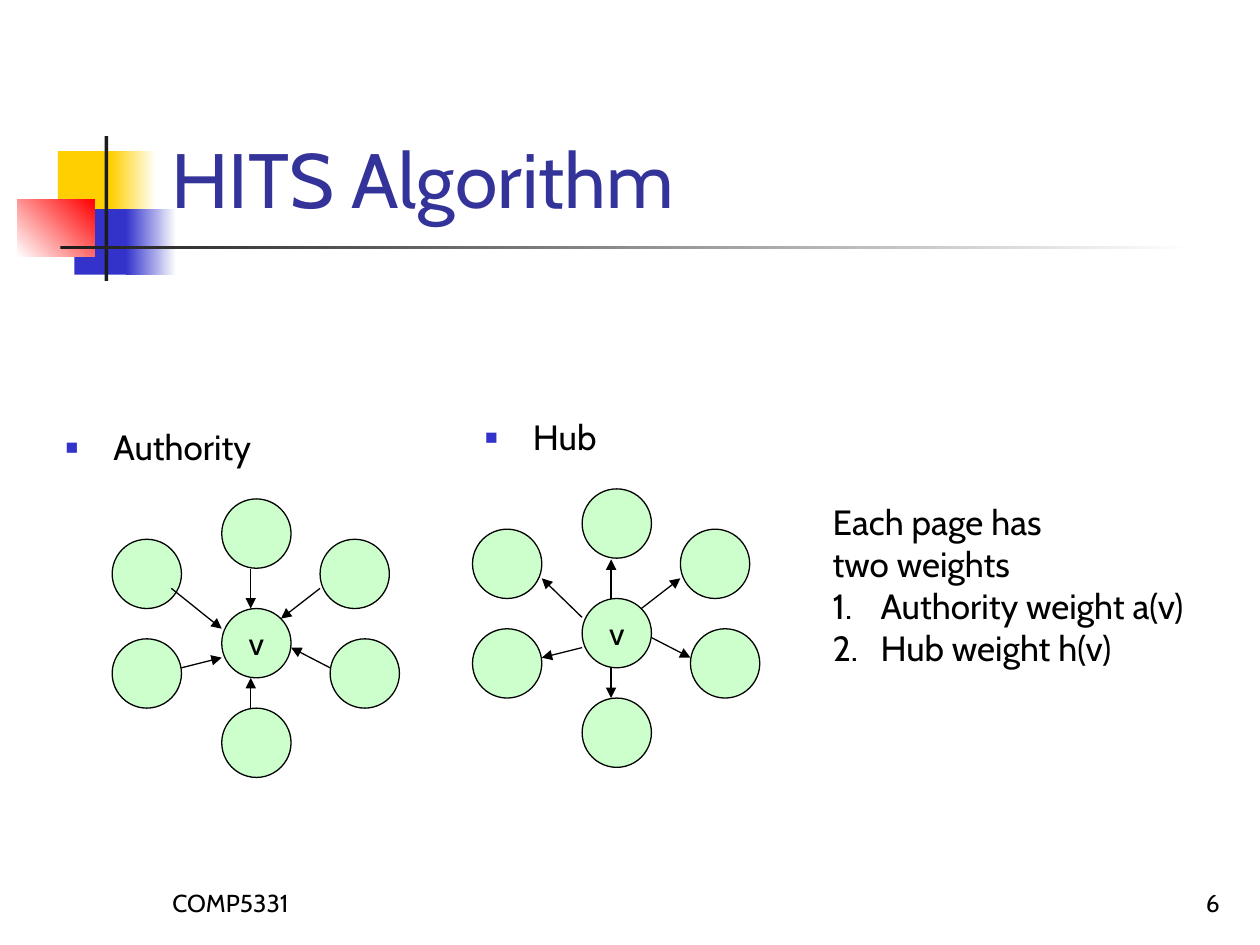
from lxml import etree
from pptx import Presentation
from pptx.dml.color import RGBColor
from pptx.enum.shapes import MSO_CONNECTOR, MSO_SHAPE
from pptx.enum.text import MSO_ANCHOR, MSO_AUTO_SIZE, PP_ALIGN
from pptx.oxml.ns import qn
from pptx.util import Inches, Pt

FONT = "Cabin"
COLORS = {
    "text": "000000", "title": "333399", "node": "CCFFCC", "white": "FFFFFF",
    "yellow": "FFCF01", "blue": "3333CC", "red": "FF0000", "bar": "1C1C1C",
}
INDENT = 0.38
NODE_SIZE = 0.55
# Node corners and spoke ends, in inches from the top left of the centre node.
NODES = [(-0.87, -0.55), (0, -0.87), (0.78, -0.55),
         (0.86, 0.24), (-0.87, 0.24), (0, 0.79)]
SPOKES = [((-0.32, 0.47), (0, 0.39)), ((0.23, 0.79), (0.23, 0.55)),
          ((0.86, 0.47), (0.55, 0.31)), ((0.78, -0.16), (0.47, 0.08)),
          ((0.23, -0.31), (0.23, 0))]


def color(name):
    return RGBColor.from_string(COLORS[name])


def place(shape, left, top, width, height):
    shape.left, shape.top = Inches(left), Inches(top)
    shape.width, shape.height = Inches(width), Inches(height)


def add_bullet(para, kind):
    """Give a paragraph a square or a number that hangs in its indent."""
    props = para._p.get_or_add_pPr()
    tint = etree.SubElement(props, qn("a:buClr"))
    etree.SubElement(tint, qn("a:srgbClr"),
                     val=COLORS["blue" if kind == "square" else "text"])
    if kind == "square":
        etree.SubElement(props, qn("a:buSzPct"), val="60000")
        etree.SubElement(props, qn("a:buFont"), typeface="Arial")
        etree.SubElement(props, qn("a:buChar"), char="■")
    else:
        etree.SubElement(props, qn("a:buAutoNum"), type="arabicPeriod")


def write(shape, lines, size=20, ink="text", align=PP_ALIGN.LEFT,
          anchor=MSO_ANCHOR.TOP, wrap=True, bullets=()):
    """Fill a shape with one paragraph per line; bullets go with the last lines."""
    frame = shape.text_frame
    frame.auto_size = MSO_AUTO_SIZE.NONE
    frame.word_wrap = wrap
    frame.vertical_anchor = anchor
    frame.text = "\n".join(lines)
    kinds = [None] * (len(lines) - len(bullets)) + list(bullets)
    for para, kind in zip(frame.paragraphs, kinds):
        para.alignment = align
        para.space_before = Pt(0)
        if kind:
            props = para._p.get_or_add_pPr()
            props.set("marL", str(Inches(INDENT)))
            props.set("indent", str(-Inches(INDENT)))
            add_bullet(para, kind)
        para.font.name = FONT
        para.font.size = Pt(size)
        para.font.color.rgb = color(ink)


def add_text(page, box, lines, **style):
    shape = page.shapes.add_textbox(*map(Inches, box))
    write(shape, lines, **style)


def add_block(page, box, start, end=None, angle=0):
    """Add a borderless rectangle, plain or fading from start to end."""
    block = page.shapes.add_shape(MSO_SHAPE.RECTANGLE, *map(Inches, box))
    block.shadow.inherit = False
    block.line.fill.background()
    if end is None:
        block.fill.solid()
        block.fill.fore_color.rgb = color(start)
        return
    block.fill.gradient()
    block.fill.gradient_angle = angle
    for stop, position, name in zip(block.fill.gradient_stops, (0, 1), (start, end)):
        stop.position = position
        stop.color.rgb = color(name)


def add_ornament(page):
    add_block(page, (0.46, 1.2, 0.48, 0.52), "yellow")
    add_block(page, (0.88, 1.2, 0.36, 0.52), "yellow", "white")
    add_block(page, (0.59, 1.66, 0.46, 0.52), "blue")
    add_block(page, (1, 1.66, 0.4, 0.52), "blue", "white")
    add_block(page, (0.14, 1.58, 0.61, 0.46), "white", "red", angle=45)
    add_block(page, (0.83, 1.08, 0.03, 1.15), "bar")
    add_block(page, (0.48, 1.95, 9, 0.03), "bar", "white")


def add_node(group, left, top, label=None):
    node = group.shapes.add_shape(MSO_SHAPE.OVAL, Inches(left), Inches(top),
                                  Inches(NODE_SIZE), Inches(NODE_SIZE))
    node.shadow.inherit = False
    node.fill.solid()
    node.fill.fore_color.rgb = color("node")
    node.line.color.rgb = color("text")
    node.line.width = Pt(0.75)
    if label:
        write(node, [label], size=18, align=PP_ALIGN.CENTER,
              anchor=MSO_ANCHOR.MIDDLE, wrap=False)


def add_arrow(group, begin, end, arrow_end):
    arrow = group.shapes.add_connector(MSO_CONNECTOR.STRAIGHT,
                                       *map(Inches, (*begin, *end)))
    arrow.line.color.rgb = color("text")
    arrow.line.width = Pt(0.75)
    etree.SubElement(arrow.line._get_or_add_ln(), qn(arrow_end), type="triangle")
    etree.SubElement(arrow._element.spPr, qn("a:effectLst"))


def add_star(page, left, top, first_spoke, arrow_end):
    """Draw the page v at (left, top) with its neighbours linked to it."""
    def shift(point):
        return left + point[0], top + point[1]

    group = page.shapes.add_group_shape()
    add_node(group, left, top, "v")
    for corner in NODES:
        add_node(group, *shift(corner))
    for outer, inner in [first_spoke, *SPOKES]:
        add_arrow(group, shift(outer), shift(inner), arrow_end)


def main():
    deck = Presentation()
    deck.slide_width, deck.slide_height = Inches(10), Inches(7.5)
    page = deck.slides.add_slide(deck.slide_layouts[3])
    title, authority, hub = page.placeholders

    add_ornament(page)
    place(title, 1.26, 0.23, 8.52, 1.6)
    write(title, ["HITS Algorithm"], size=44, ink="title", anchor=MSO_ANCHOR.BOTTOM)

    place(authority, 0.42, 3.33, 2.6, 0.95)
    write(authority, ["Authority"], bullets=["square"])
    add_star(page, 1.76, 4.83, ((-0.4, -0.16), (0, 0.16)), "a:tailEnd")

    place(hub, 3.75, 3.25, 2.28, 0.95)
    write(hub, ["Hub"], bullets=["square"])
    add_star(page, 4.62, 4.75, ((-0.32, -0.16), (0, 0.15)), "a:headEnd")

    add_text(page, (6.51, 3.92, 3.29, 1.44),
             ["Each page has", "two weights", "Authority weight a(v)", "Hub weight h(v)"],
             bullets=["number", "number"])
    add_text(page, (1.27, 6.83, 2.08, 0.5), ["COMP5331"], size=14,
             anchor=MSO_ANCHOR.BOTTOM)
    add_text(page, (7.7, 6.83, 2.08, 0.5), ["6"], size=14,
             align=PP_ALIGN.RIGHT, anchor=MSO_ANCHOR.BOTTOM)
    deck.save("out.pptx")


if __name__ == "__main__":
    main()
